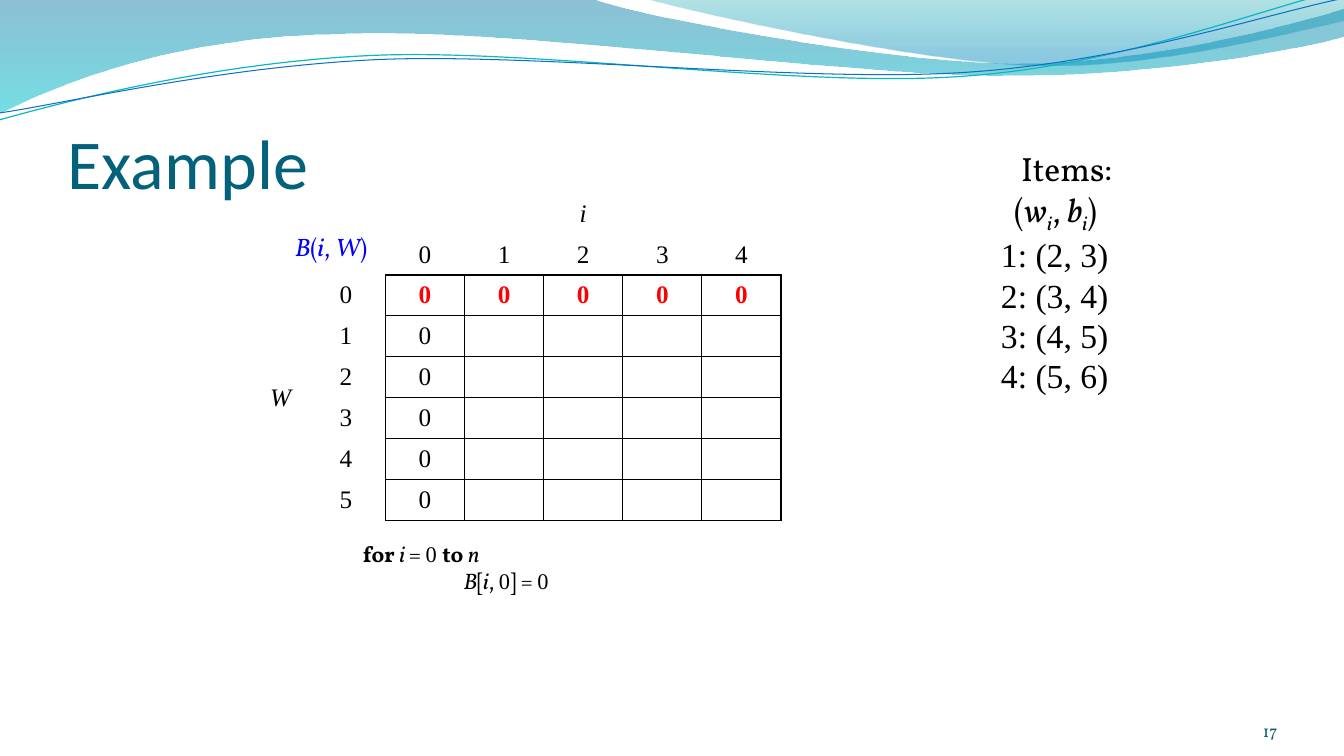
from lxml import etree
from pptx import Presentation
from pptx.dml.color import RGBColor
from pptx.enum.text import MSO_ANCHOR, MSO_AUTO_SIZE, PP_ALIGN
from pptx.oxml.ns import qn
from pptx.util import Inches, Pt

LEFT, CENTER, RIGHT = PP_ALIGN.LEFT, PP_ALIGN.CENTER, PP_ALIGN.RIGHT
TOP, MIDDLE, BOTTOM = MSO_ANCHOR.TOP, MSO_ANCHOR.MIDDLE, MSO_ANCHOR.BOTTOM
SERIF, TIMES = "Vollkorn", "Times New Roman"
COLORS = {
    "title": "04617B", "number": "045D75", "text": "000000",
    "formula": "0000FF", "known": "FF0000", "teal line": "0AB8BF", "blue line": "0F6FC6",
}

# Content: spans are (text, style); b bold, i italic, s subscript, t Times
TITLE = "Example"
SLIDE_NUMBER = "17"
FORMULA = [("B", "i"), ("(", ""), ("i", "i"), (", ", ""), ("W", "i"), (")", "")]
CODE = [
    [("for ", "b"), ("i ", "i"), ("= ", ""), ("0 ", "t"), ("to ", "b"), ("n", "i")],
    [("B", "i"), ("[", ""), ("i", "i"), (", ", ""), ("0", "t"), ("] = ", ""), ("0", "t")],
]
ITEMS = [(2, 3), (3, 4), (4, 5), (5, 6)]
ITEM_LINES = [
    [("Items:", "")],
    [("(", ""), ("w", "i"), ("i", "is"), (", ", ""), ("b", "i"), ("i", "is"), (")", "")],
] + [[(f"{number}: {item}", "t")] for number, item in enumerate(ITEMS, 1)]
ITEM_COUNT, CAPACITY = len(ITEMS), 5

# Waves: a start point, then lines (x, y) and curves (two handles and an end)
# Gradient stops are (position %, colour, opacity %)
BANDS = [
    ([(0, 0), (5.87, -0.01), (6.34, 0.17, 8.85, 0.63, 10.11, 0.63),
      (11.38, 0.63, 12.78, 0.26, 13.33, 0.09), (13.35, 0.36),
      (13.11, 0.44, 11.6, 0.76, 9.94, 0.75), (8.29, 0.75, 5.09, 0.28, 3.43, 0.34),
      (1.72, 0.36, 0.61, 0.83, -0.01, 1.13), (0, 0)],
     [(0, "0074A1", 45), (100, "00C6CF", 55)]),
    ([(6.39, -0.01), (6.79, 0.11, 9.09, 0.62, 10.25, 0.65),
      (11.41, 0.69, 12.82, 0.32, 13.33, 0.21), (13.33, 0), (6.39, -0.01)],
     [(0, "00A1A9", 30), (80, "008BBF", 45)]),
]
STROKES = [
    ([(-0.01, 1.19), (0.64, 1.01, 2.11, 0.62, 3.69, 0.55),
      (5.27, 0.48, 7.9, 0.87, 9.5, 0.76), (11.1, 0.66, 12.52, 0.08, 13.31, -0.1)],
     "teal line", 0.85),
    ([(0, 1.12), (0.63, 1.03, 2.18, 0.66, 3.78, 0.59),
      (5.37, 0.53, 7.96, 0.82, 9.55, 0.72), (11.15, 0.62, 12.55, 0.14, 13.34, -0.02)],
     "blue line", 0.75),
]


def rgb(name):
    return RGBColor.from_string(COLORS[name])


def add_wave(slide, outline, close):
    """Draw the outline through all points, then bend each three-point group."""
    points = [(Inches(part[i]), Inches(part[i + 1]))
              for part in outline for i in range(0, len(part), 2)]
    builder = slide.shapes.build_freeform(*points[0])
    builder.add_line_segments(points[1:], close=close)
    wave = builder.convert_to_shape()
    wave.shadow.inherit = False
    lines = list(wave._element.iter(qn("a:lnTo")))
    for part in outline[1:]:
        group, lines = lines[:len(part) // 2], lines[len(part) // 2:]
        if len(group) == 3:
            curve = etree.Element(qn("a:cubicBezTo"))
            group[0].addprevious(curve)
            for line in group:
                curve.append(line[0])
                line.getparent().remove(line)
    return wave


def fade(shape, stops):
    shape.fill.gradient()
    shape.fill.gradient_angle = 270
    stop_list = shape._element.spPr.find(qn("a:gradFill")).find(qn("a:gsLst"))
    for old in list(stop_list):
        stop_list.remove(old)
    for position, color, opacity in stops:
        stop = etree.SubElement(stop_list, qn("a:gs"), pos=str(position * 1000))
        tint = etree.SubElement(stop, qn("a:srgbClr"), val=color)
        etree.SubElement(tint, qn("a:alpha"), val=str(opacity * 1000))


def set_font(span, name, size, color, bold=False, italic=False):
    font = span.font
    font.name, font.size, font.bold, font.italic = name, Pt(size), bold, italic
    font.color.rgb = rgb(color)


def write(para, spans, size, color, align, indent):
    para.alignment = align
    if indent:
        properties = para._p.get_or_add_pPr()
        properties.set("marL", str(Inches(indent)))
        properties.set("indent", "0")
    for text, style in spans:
        span = para.add_run()
        span.text = text
        set_font(span, TIMES if "t" in style else SERIF, size, color, "b" in style, "i" in style)
        if "s" in style:
            span._r.get_or_add_rPr().set("baseline", "-25000")


def add_text(slide, place, lines, size, color, layout=(), anchor=TOP, margin=None):
    """layout holds (alignment, indent) for the first lines."""
    frame = slide.shapes.add_textbox(*map(Inches, place)).text_frame
    frame.word_wrap = True
    frame.vertical_anchor = anchor
    if margin is not None:
        frame.margin_left = frame.margin_right = Inches(margin)
        frame.margin_top = frame.margin_bottom = Inches(margin)
    for index, spans in enumerate(lines):
        para = frame.add_paragraph() if index else frame.paragraphs[0]
        write(para, spans, size, color, *(layout[index] if index < len(layout) else (LEFT, 0)))


def set_borders(cell, visible):
    properties = cell._tc.get_or_add_tcPr()
    for index, side in enumerate("LRTB"):
        line = etree.Element(qn(f"a:ln{side}"), w=str(Pt(1)))
        properties.insert(index, line)
        if side in visible:
            fill = etree.SubElement(line, qn("a:solidFill"))
            etree.SubElement(fill, qn("a:srgbClr"), val=COLORS["text"])
        else:
            etree.SubElement(line, qn("a:noFill"))


def add_benefit_table(slide):
    rows, columns = CAPACITY + 3, ITEM_COUNT + 3
    left, top, width, height = 182 / 72, 138 / 72, 5.22, 3.24
    label_width = 0.51
    table = slide.shapes.add_table(rows, columns, *map(Inches, (left, top, width, height))).table
    table.first_row = table.horz_banding = False
    for index, column in enumerate(table.columns):
        column.width = Inches((width - label_width) / (columns - 1) if index else label_width)
    for row in table.rows:
        row.height = Inches(height / rows)

    # Labels on the two axes, then the first row and column of results
    entries = {(0, 2): "i", (2, 0): "W"}
    for item in range(ITEM_COUNT + 1):
        entries.update({(1, item + 2): str(item), (2, item + 2): "0"})
    for weight in range(CAPACITY + 1):
        entries.update({(weight + 2, 1): str(weight), (weight + 2, 2): "0"})

    for row in range(rows):
        for column in range(columns):
            cell = table.cell(row, column)
            cell.fill.background()
            if row >= 2 and column >= 2:
                visible = "LRTB"
            else:
                visible = "B" if row == 1 and column >= 2 else "R" if column == 1 and row >= 2 else ""
            set_borders(cell, visible)
            cell.vertical_anchor = MIDDLE
            if (row, column) in entries:
                para = cell.text_frame.paragraphs[0]
                para.text = entries[row, column]
                para.alignment = CENTER
                known = row == 2 and column >= 2
                set_font(para.runs[0], TIMES, 18, "known" if known else "text",
                         bold=known, italic=para.text in ("i", "W"))
    table.cell(0, 2).merge(table.cell(0, columns - 1))
    table.cell(2, 0).merge(table.cell(rows - 1, 0))


deck = Presentation()
deck.slide_width, deck.slide_height = Inches(13.33), Inches(7.5)
slide = deck.slides.add_slide(deck.slide_layouts[5])

# Waves along the top
for outline, stops in BANDS:
    band = add_wave(slide, outline, True)
    fade(band, stops)
    band.line.fill.background()
for outline, color, line_width in STROKES:
    stroke = add_wave(slide, outline, False)
    stroke.fill.background()
    stroke.line.color.rgb = rgb(color)
    stroke.line.width = Pt(line_width)

# Title, in front of the waves
title = slide.shapes.title
slide.shapes._spTree.append(title._element)
title.left, title.top, title.width, title.height = map(Inches, (0.67, 0.77, 12, 1.25))
frame = title.text_frame
frame.text = TITLE
frame.auto_size = MSO_AUTO_SIZE.NONE
frame.vertical_anchor = BOTTOM
frame.margin_left = frame.margin_right = frame.margin_bottom = 0
frame.paragraphs[0].alignment = LEFT
set_font(frame.paragraphs[0].runs[0], "Calibri", 50, "title")

# Table and texts
add_benefit_table(slide)
add_text(slide, (3.5, 5.31, 5.81, 0.64), CODE, 16, "text", [(LEFT, 0), (LEFT, 1)])
add_text(slide, (2.83, 2.25, 1, 0.4), [FORMULA], 18, "formula")
add_text(slide, (9.83, 1.42, 1.5, 2.52), ITEM_LINES, 24, "text", [(CENTER, 0), (LEFT, 0.13)])
add_text(slide, (11.56, 6.95, 1.11, 0.4), [[(SLIDE_NUMBER, "")]], 12, "number",
         [(RIGHT, 0)], BOTTOM, 0)
deck.save("out.pptx")
